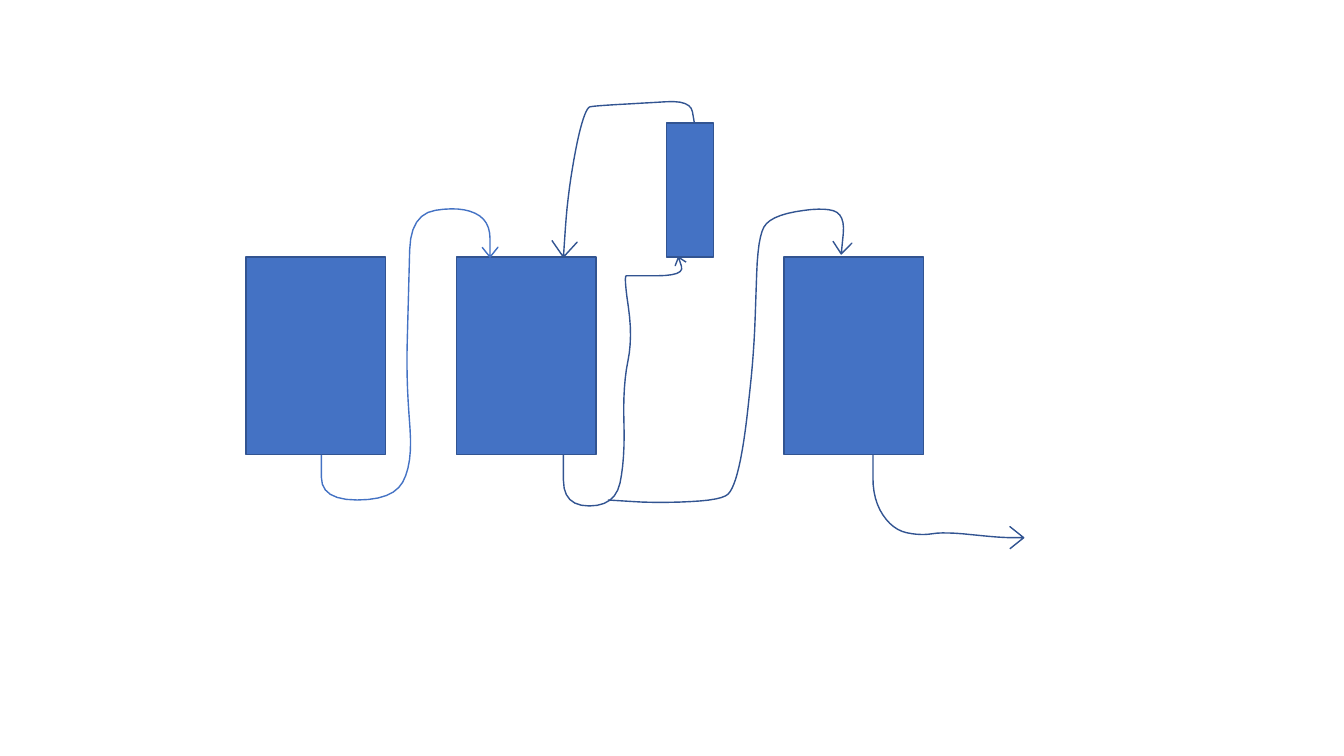
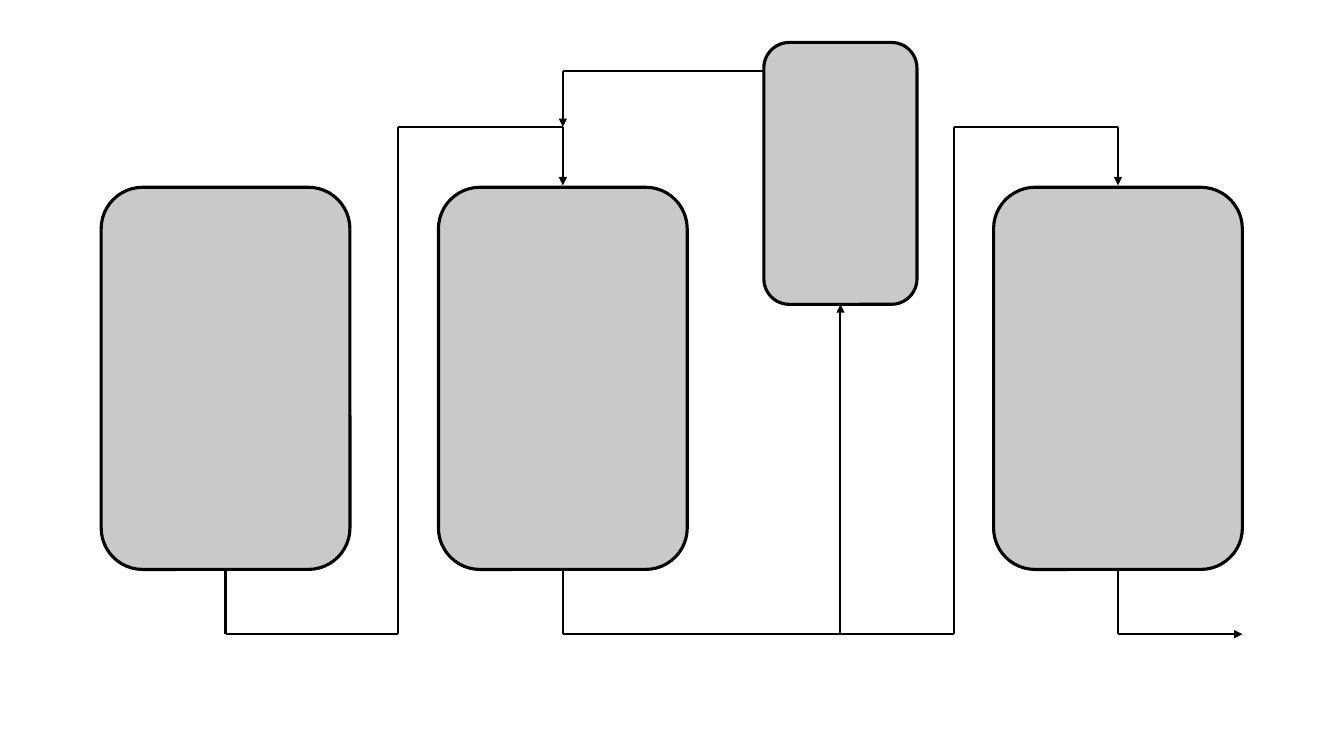
from itertools import pairwise
from lxml.etree import SubElement
from pptx import Presentation
from pptx.dml.color import RGBColor
from pptx.enum.shapes import MSO_CONNECTOR, MSO_SHAPE
from pptx.oxml.ns import qn
from pptx.util import Cm, Pt

BLUE = RGBColor(0x44, 0x72, 0xC4)
NAVY = RGBColor(0x32, 0x54, 0x91)
GREY = RGBColor(0xC9, 0xC9, 0xC9)
BLACK = RGBColor(0, 0, 0)

PAGE = {"slide_width": Cm(33.87), "slide_height": Cm(19.05)}
BEND = 0.9  # largest corner cut of a pen stroke, in cm
STEPS = 6  # pieces per rounded corner

deck = Presentation()
for name, value in PAGE.items():
    setattr(deck, name, value)


def ink(shape, fill, edge, width):
    shape.shadow.inherit = False
    if fill is None:
        shape.fill.background()
    else:
        shape.fill.solid()
        shape.fill.fore_color.rgb = fill
    shape.line.color.rgb = edge
    shape.line.width = width


def curve(knots):
    """Round each inner knot with a quadratic curve; short legs bend tightly."""
    trail = [knots[0]]
    for before, knot, after in zip(knots, knots[1:], knots[2:]):
        start, end = [
            knot + (other - knot) * min(0.5, BEND / abs(other - knot))
            for other in (before, after)
        ]
        for step in range(STEPS + 1):
            t = step / STEPS
            trail.append((1 - t) ** 2 * start + 2 * t * (1 - t) * knot + t**2 * end)
    return trail + [knots[-1]]


# Tanks: three large ones in a row and a small one above, in cm
roof, high = 6.48, 4.98
foot = roof + high
sketch = [(x, roof, 3.51, high) for x in (6.2, 11.51, 19.76)]
sketch.append((16.79, 3.1, 1.19, 3.38))

left, top, wide, tall = (2.55, 11.05, 25.04), 4.72, 6.27, 9.63
base = top + tall
small = (19.25, 1.07, 3.86, 6.6)
clean = [(x, top, wide, tall) for x in left] + [small]

looks = [
    (sketch, MSO_SHAPE.RECTANGLE, BLUE, NAVY, Pt(1)),
    (clean, MSO_SHAPE.ROUNDED_RECTANGLE, GREY, BLACK, Pt(2.25)),
]
slides = []
for tanks, kind, fill, edge, width in looks:
    slide = deck.slides.add_slide(deck.slide_layouts[6])
    slides.append(slide)
    for box in tanks:
        tank = slide.shapes.add_shape(kind, *[Cm(v) for v in box])
        ink(tank, fill, edge, width)

# Slide 1: pen strokes, each a few knots from outlet to arrow tip
feed = [(8.1, foot), (8.1, 12.6), (9.9, 12.6), (10.4, 11.7), (10.24, 9.5),
        (10.35, 5.4), (11.6, 5.2), (12.35, 5.55), (12.35, roof)]
rise = [(14.2, foot), (14.2, 12.75), (15.5, 12.75), (15.75, 11.6), (15.7, 9.7),
        (15.95, 8.5), (15.72, 6.95), (15.85, 6.95), (17.25, 6.95), (17.1, roof)]
back = [(17.5, 3.1), (17.4, 2.53), (16.2, 2.6), (14.95, 2.67), (14.78, 2.72),
        (14.55, 3.5), (14.3, 5), (14.2, roof)]
send = [(15.32, 12.6), (16.6, 12.68), (18.2, 12.6), (18.5, 12.3), (18.75, 11.2),
        (19, 8.9), (19.1, 6), (19.4, 5.45), (20.7, 5.22), (21.3, 5.4), (21.2, 6.4)]
drain = [(22, foot), (22, 12.6), (22.5, 13.35), (23.2, 13.5), (23.8, 13.4),
         (25.2, 13.55), (25.8, 13.55)]
strokes = [(feed, BLUE, 0.25), (rise, NAVY, 0.18), (back, NAVY, 0.4),
           (send, NAVY, 0.3), (drain, NAVY, 0.35)]

for knots, hue, barb in strokes:
    knots = [complex(*knot) for knot in knots]
    tip = knots[-1]
    way = tip - knots[-2]
    way = way / abs(way)
    head = [tip - barb * way * (1 + 0.8j), tip, tip - barb * way * (1 - 0.8j)]
    trail = [(Cm(p.real), Cm(p.imag)) for p in curve(knots) + head]
    pen = slides[0].shapes.build_freeform(*trail[0])
    pen.add_line_segments(trail[1:], close=False)
    ink(pen.convert_to_shape(), None, hue, Pt(1))

# Slide 2: straight pipes along shared levels, each ending in an arrow
first, mid, last = [x + wide / 2 for x in left]
side = small[0] + small[2] / 2
low, over, loop, tip = 15.98, 3.2, 1.78, 4.67
routes = [
    [(side, low), (side, small[1] + small[3])],
    [(small[0], loop), (mid, loop), (mid, over)],
    [(last, base), (last, low), (left[2] + wide, low)],
]
for start, riser, goal in ((first, 10.04, mid), (mid, 24.05, last)):
    routes.append([(start, base), (start, low), (riser, low),
                   (riser, over), (goal, over), (goal, tip)])

for route in routes:
    group = slides[1].shapes.add_group_shape()
    for start, end in pairwise(route):
        ends = [Cm(v) for v in (*start, *end)]
        pipe = group.shapes.add_connector(MSO_CONNECTOR.STRAIGHT, *ends)
        pipe.line.color.rgb = BLACK
        pipe.line.width = Pt(1.5)
        SubElement(pipe._element.spPr, qn("a:effectLst"))
    SubElement(pipe.line._get_or_add_ln(), qn("a:tailEnd"), type="triangle")

deck.save("out.pptx")
